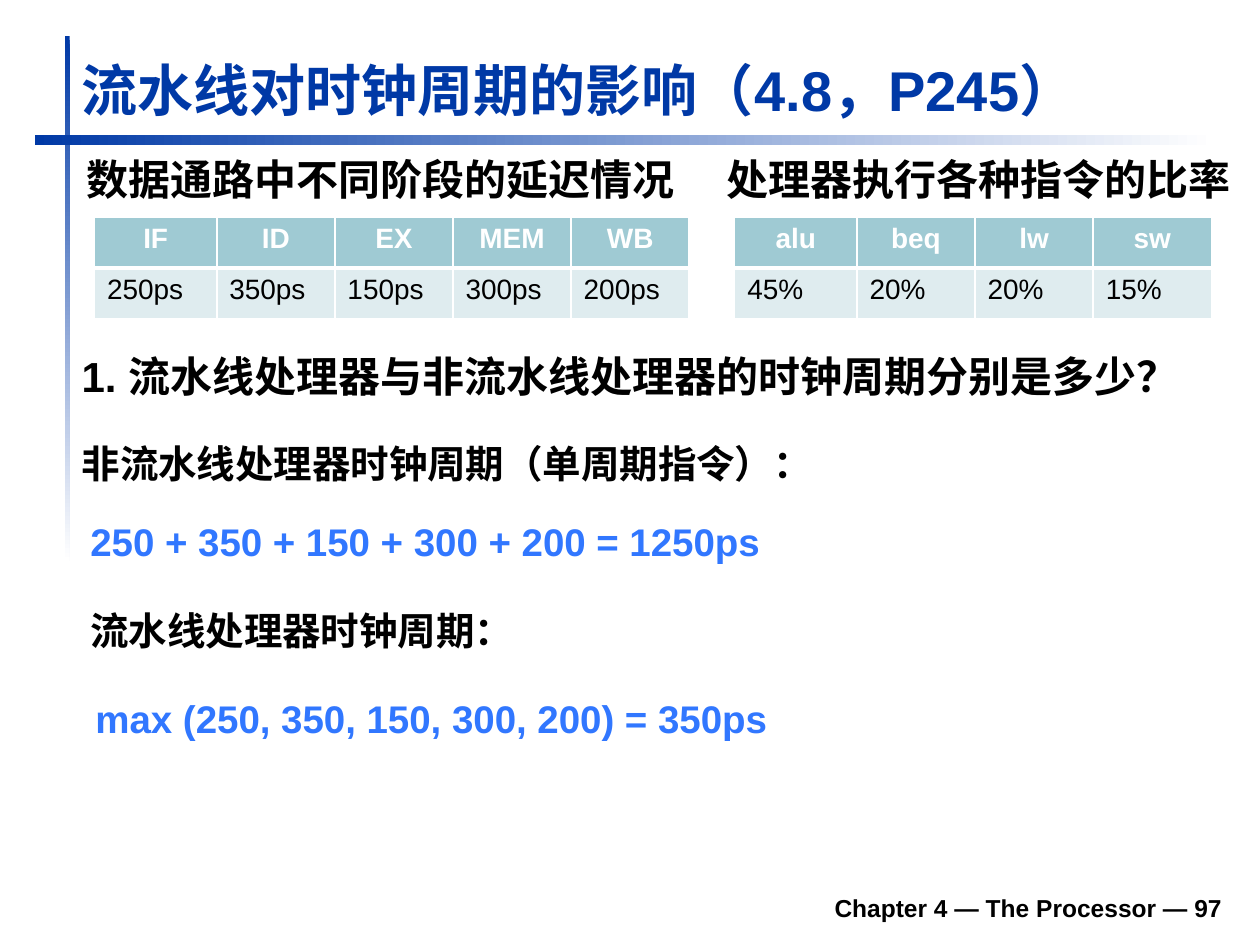
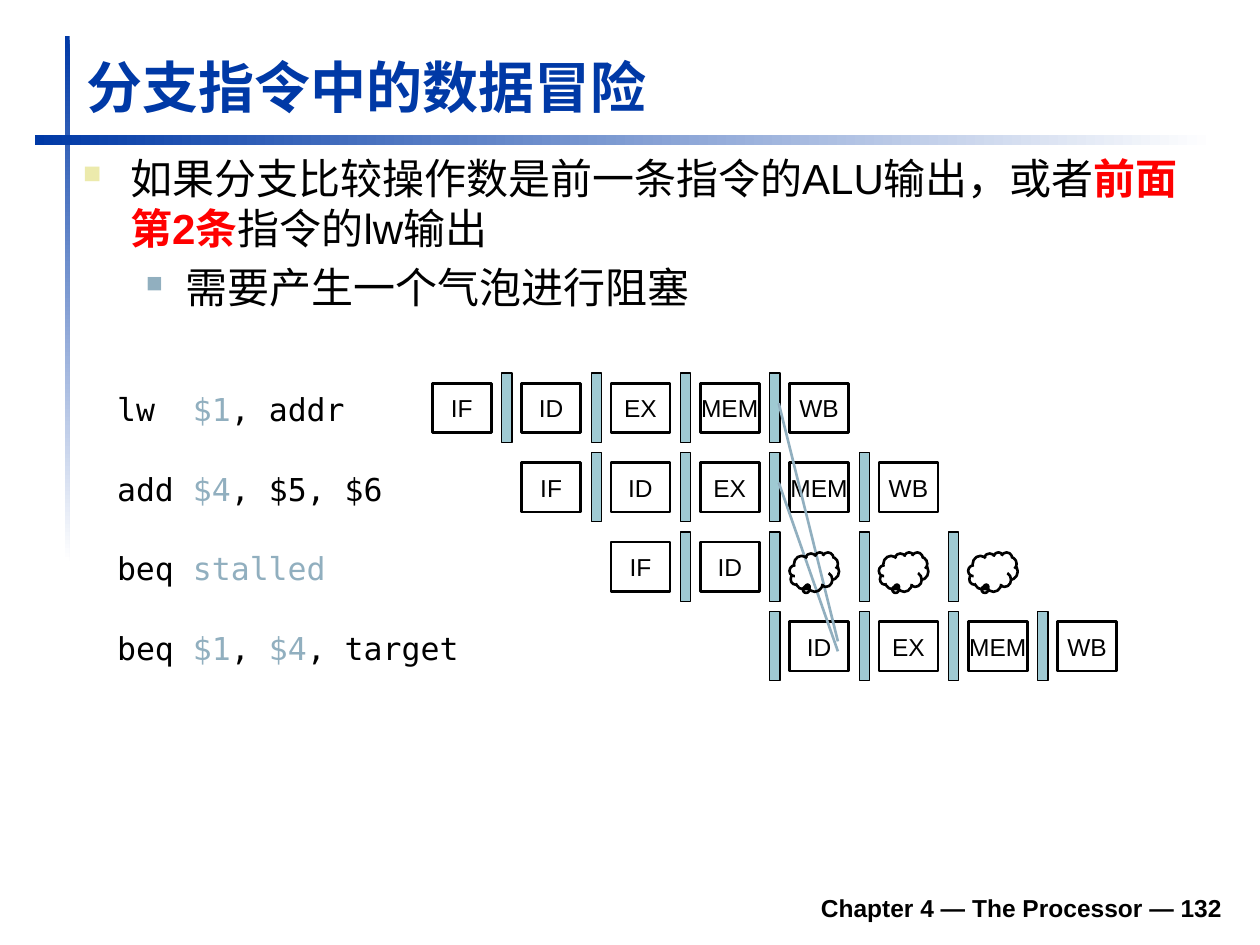
from lxml import etree
from pptx import Presentation
from pptx import util as u
from pptx.dml.color import RGBColor
from pptx.enum import lang, shapes, text
from pptx.oxml import ns

Pt = u.Pt
FONT = "Arial"
MONO = "DejaVu Sans Mono"
COLORS = {
    "title": "0039A6", "white": "FFFFFF", "black": "000000", "answer": "3177FF",
    "teal": "9FCAD3", "pale": "DFECEF", "steel": "91AFBF", "bullet": "ECEAAC",
    "red": "FF0000",
}
STAGE_X, STAGE_Y = 247, 219
STEP_X, STEP_Y = 51.05, 45.4
STAGE_W, STAGE_H = 33.8, 28.2


def rgb(name):
    return RGBColor.from_string(COLORS[name])


def add_xml(parent, tag, **attrs):
    return etree.SubElement(parent, ns.qn(tag), attrs)


def write_runs(p, runs, size=24, bold=False, color="black", font=FONT):
    if isinstance(runs, str):
        runs = [(runs, {})]
    for content, fmt in runs:
        r = p.add_run()
        r.text = content
        r.font.name = font
        r.font.size = Pt(size)
        r.font.bold = fmt.get("bold", bold)
        r.font.color.rgb = rgb(fmt.get("color", color))
        r.font.language_id = lang.MSO_LANGUAGE_ID.SIMPLIFIED_CHINESE


def add_text(s, runs, x, y, w, h, anchor="TOP", align="LEFT", wrap=True, **fmt):
    sp = s.shapes.add_textbox(Pt(x), Pt(y), Pt(w), Pt(h))
    tf = sp.text_frame
    tf.word_wrap = wrap
    tf.vertical_anchor = text.MSO_ANCHOR[anchor]
    p = tf.paragraphs[0]
    p.alignment = text.PP_ALIGN[align]
    write_runs(p, runs, **fmt)
    return tf


def add_bullet(p, color, percent, margin, hang):
    pPr = p._p.get_or_add_pPr()
    pPr.set("marL", str(Pt(margin)))
    pPr.set("indent", str(-Pt(hang)))
    add_xml(add_xml(pPr, "a:buClr"), "a:srgbClr", val=COLORS[color])
    add_xml(pPr, "a:buSzPct", val=str(percent * 1000))
    add_xml(pPr, "a:buChar", char="■")


def add_box(s, x, y, w, h, fill=None, line=None, kind="RECTANGLE"):
    sp = s.shapes.add_shape(shapes.MSO_SHAPE[kind], Pt(x), Pt(y), Pt(w), Pt(h))
    sp.shadow.inherit = False
    if fill:
        sp.fill.solid()
        sp.fill.fore_color.rgb = rgb(fill)
    else:
        sp.fill.background()
    if line:
        sp.line.color.rgb = rgb("black")
        sp.line.width = Pt(line)
    else:
        sp.line.fill.background()
    return sp


def add_band(s, x, y, w, h, angle):
    sp = add_box(s, x, y, w, h)
    sp.fill.gradient()
    sp.fill.gradient_angle = angle
    for stop, name in zip(sp.fill.gradient_stops, ("title", "white")):
        stop.color.rgb = rgb(name)


def add_slide(prs, title, number, title_x, title_y):
    s = prs.slides.add_slide(prs.slide_layouts[6])
    add_band(s, 37, 20.5, 2.9, 300, 270)
    add_band(s, 19.8, 77, 674.5, 5.8, 0)
    add_text(s, title, title_x, title_y, 650, 46, anchor="BOTTOM",
             size=32, bold=True, color="title")
    add_text(s, f"Chapter 4 — The Processor — {number}", 133.5, 502.5, 572, 28,
             anchor="BOTTOM", align="RIGHT", size=14, bold=True)
    return s


def set_border(cell, side, width):
    ln = add_xml(cell._tc.get_or_add_tcPr(), f"a:{side}", w=str(Pt(width)))
    add_xml(add_xml(ln, "a:solidFill"), "a:srgbClr", val=COLORS["white"])


def add_table(s, x, rows):
    widths = [69.9] + [67.5] * (len(rows[0]) - 1)
    frame = s.shapes.add_table(len(rows), len(widths), Pt(x), Pt(124),
                               Pt(sum(widths)), Pt(58.4))
    table = frame.table
    for column, width in zip(table.columns, widths):
        column.width = Pt(width)
    for i, row in enumerate(rows):
        table.rows[i].height = Pt(29.2)
        header = i == 0
        for j, value in enumerate(row):
            cell = table.cell(i, j)
            for side in ("lnL", "lnR", "lnT", "lnB"):
                joint = side == ("lnB" if header else "lnT")
                set_border(cell, side, 3 if joint else 1)
            cell.fill.solid()
            cell.fill.fore_color.rgb = rgb("teal" if header else "pale")
            p = cell.text_frame.paragraphs[0]
            p.alignment = text.PP_ALIGN.CENTER if header else text.PP_ALIGN.LEFT
            write_runs(p, value, size=16, bold=header,
                       color="white" if header else "black")


def add_stage(s, name, x, y):
    if name == "bubble":
        sp = add_box(s, x, y + 5.8, 28.3, 22.5, line=1.5, kind="CLOUD_CALLOUT")
        sp.adjustments[0], sp.adjustments[1] = -0.13, 0.36
        return
    sp = add_box(s, x, y, STAGE_W, STAGE_H, line=1.5)
    tf = sp.text_frame
    tf.word_wrap = False
    tf.margin_left = tf.margin_right = tf.margin_top = tf.margin_bottom = 0
    tf.vertical_anchor = text.MSO_ANCHOR.MIDDLE
    p = tf.paragraphs[0]
    p.alignment = text.PP_ALIGN.CENTER
    write_runs(p, name, size=14)


def add_forward(s, x1, y1, x2, y2):
    c = s.shapes.add_connector(shapes.MSO_CONNECTOR.STRAIGHT,
                               Pt(x1), Pt(y1), Pt(x2), Pt(y2))
    c.line.color.rgb = rgb("steel")
    c.line.width = Pt(1.5)
    add_xml(c._element.spPr, "a:effectLst")


def add_pipeline_row(s, row, start, stages, registers):
    y = STAGE_Y + row * STEP_Y
    for column in registers:
        add_box(s, STAGE_X + column * STEP_X - 11.3, y - 5.8, 5.8, 39.6,
                fill="teal", line=0.75)
    for column, name in enumerate(stages, start):
        if name != "bubble":
            add_stage(s, name, STAGE_X + column * STEP_X, y)


def build_clock_slide(prs):
    s = add_slide(prs, "流水线对时钟周期的影响（4.8，P245）", 97, 39.6, 27.4)
    add_text(s, "数据通路中不同阶段的延迟情况", 42.5, 84.2, 368, 45, bold=True)
    add_table(s, 54, [["IF", "ID", "EX", "MEM", "WB"],
                      ["250ps", "350ps", "150ps", "300ps", "200ps"]])
    add_text(s, "处理器执行各种指令的比率", 408.2, 84.2, 306, 45, bold=True)
    add_table(s, 419.8, [["alu", "beq", "lw", "sw"],
                         ["45%", "20%", "20%", "15%"]])
    lines = [
        ("1. 流水线处理器与非流水线处理器的时钟周期分别是多少？", 39.6, 196.6, 24, "black"),
        ("非流水线处理器时钟周期（单周期指令）：", 39.6, 247.7, 22, "black"),
        ("250 + 350 + 150 + 300 + 200 = 1250ps", 44.6, 292.3, 22, "answer"),
        ("流水线处理器时钟周期：", 44.6, 343.4, 22, "black"),
        ("max (250, 350, 150, 300, 200) = 350ps", 47.5, 393.8, 22, "answer"),
    ]
    for content, x, y, size, color in lines:
        add_text(s, content, x, y, 666.7, 39.6, size=size, bold=True, color=color)


def build_hazard_slide(prs):
    s = add_slide(prs, "分支指令中的数据冒险", 132, 42.5, 26)
    red = {"color": "red", "bold": True}
    tf = add_text(s, [("如果分支比较操作数是前一条指令的ALU输出，或者", {}),
                      ("前面第2条", red), ("指令的lw输出", {})],
                  40.3, 83.5, 651.6, 100.8)
    add_bullet(tf.paragraphs[0], "bullet", 60, 27, 27)
    p = tf.add_paragraph()
    p.level = 1
    p.space_before = Pt(4.8)
    add_bullet(p, "steel", 55, 58.5, 22.5)
    write_runs(p, "需要产生一个气泡进行阻塞")

    steel = {"color": "steel"}
    code = [
        ([("lw  ", {}), ("$1", steel), (", addr", {})], 144.7),
        ([("add ", {}), ("$4", steel), (", $5, $6", {})], 167),
        ([("beq ", {}), ("stalled", steel)], 133.9),
        ([("beq ", {}), ("$1", steel), (", ", {}), ("$4", steel),
          (", target", {})], 210.2),
    ]
    for row, (runs, width) in enumerate(code):
        add_text(s, runs, 59.8, 219.6 + row * STEP_Y, width, 28.8,
                 wrap=False, size=18, font=MONO)

    stages = ["IF", "ID", "EX", "MEM", "WB"]
    add_pipeline_row(s, 0, 0, stages, range(1, 5))
    add_pipeline_row(s, 1, 1, stages, range(2, 6))
    add_pipeline_row(s, 2, 2, stages[:2], range(3, 7))
    add_pipeline_row(s, 3, 4, stages[1:], range(4, 8))
    add_forward(s, 445, 230.4, 478.8, 366.5)
    add_forward(s, 445, 275.8, 478.8, 372.2)
    for column in range(4, 7):
        add_stage(s, "bubble", STAGE_X + column * STEP_X, STAGE_Y + 2 * STEP_Y)


def main():
    prs = Presentation()
    prs.slide_width, prs.slide_height = Pt(720), Pt(540)
    build_clock_slide(prs)
    build_hazard_slide(prs)
    prs.save("out.pptx")


if __name__ == "__main__":
    main()
